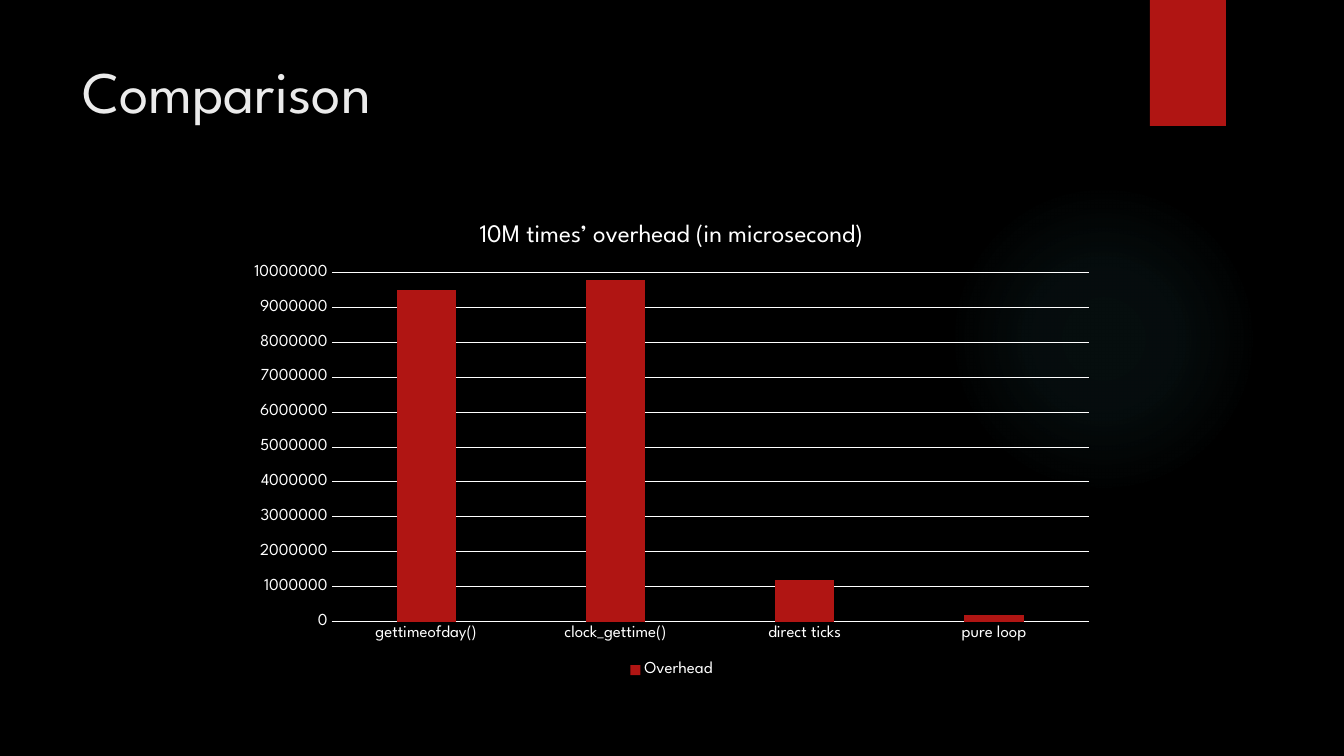
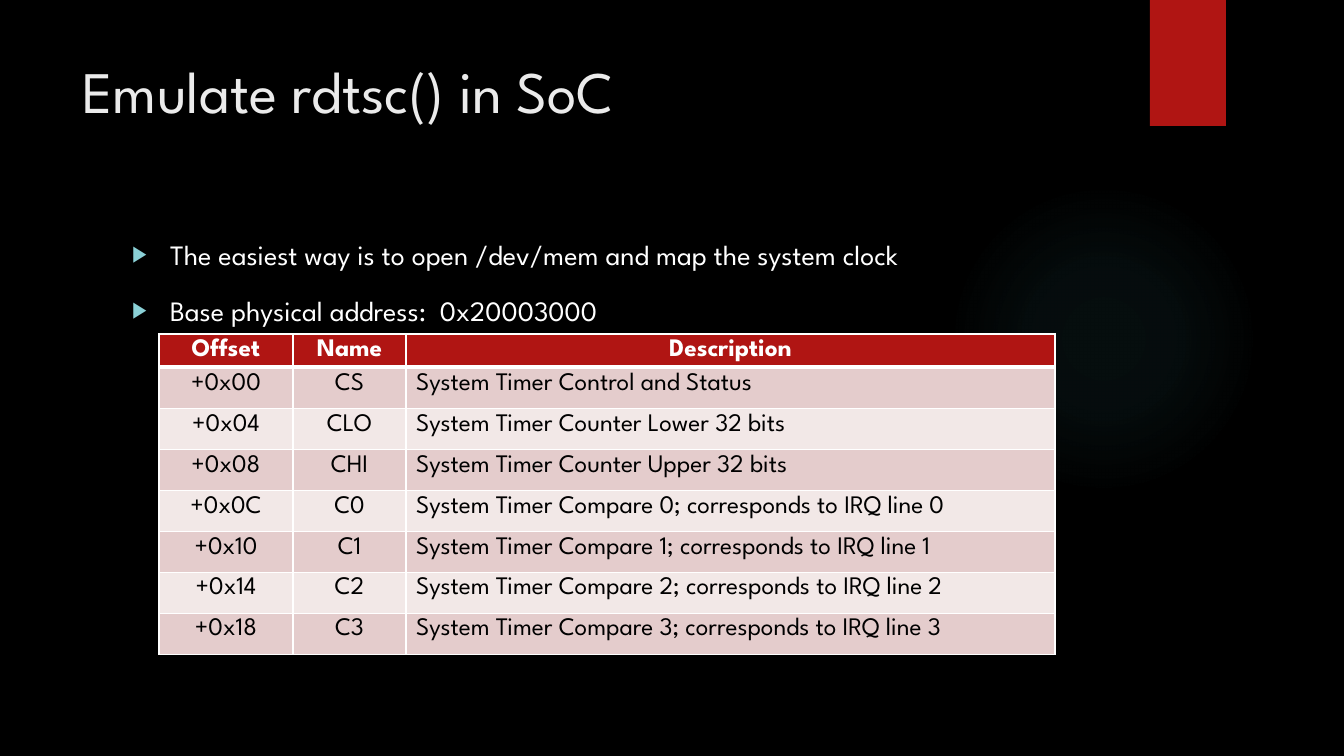
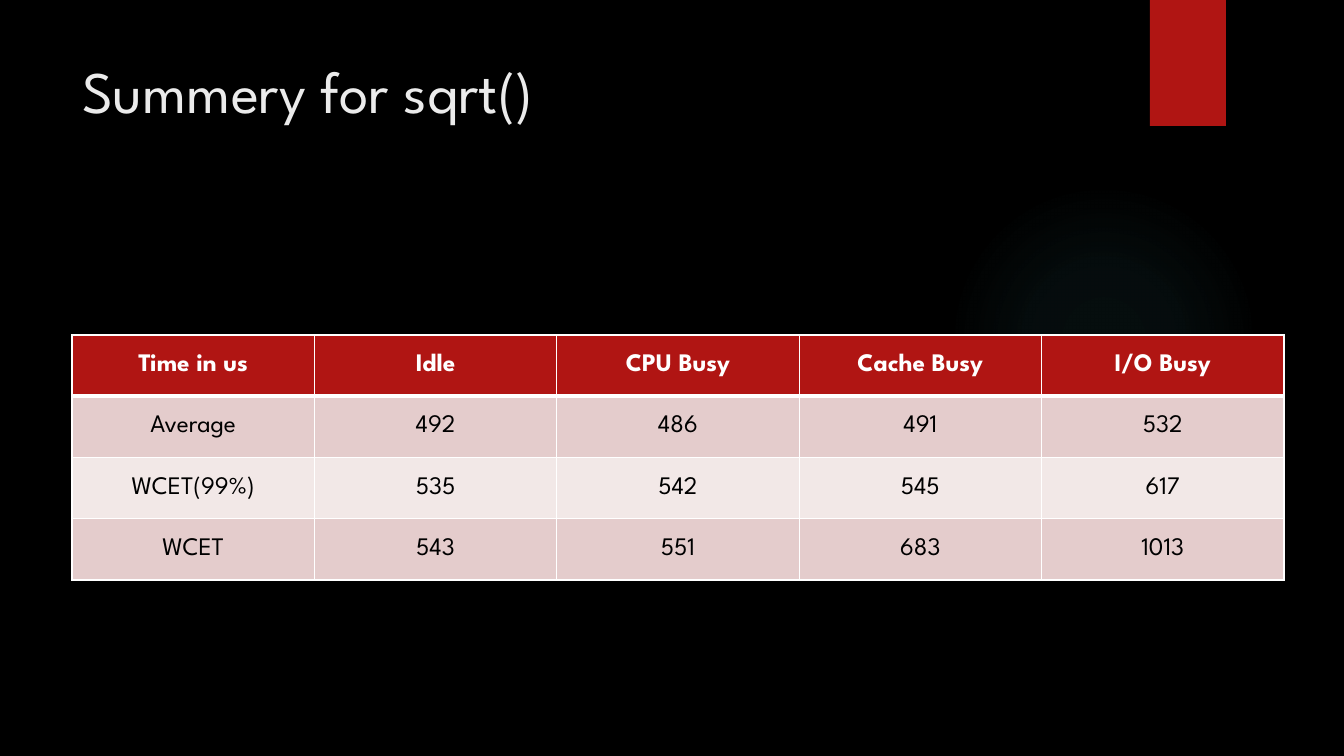
import pptx
import pptx.chart.data
import pptx.dml.color
import pptx.enum.chart
import pptx.enum.shapes
import pptx.enum.text
import pptx.oxml
import pptx.oxml.ns
import pptx.util
from lxml import etree

EMU_PER_PX = 914400 / 100.8
RED = pptx.dml.color.RGBColor(0xB0, 0x15, 0x13)
TEAL = pptx.dml.color.RGBColor(0x50, 0xB9, 0xC1)
BULLET_TEAL = pptx.dml.color.RGBColor(0x8A, 0xD0, 0xD6)
BLACK = pptx.dml.color.RGBColor(0, 0, 0)
WHITE = pptx.dml.color.RGBColor(255, 255, 255)
TITLE_WHITE = pptx.dml.color.RGBColor(0xEB, 0xEB, 0xEB)
ROW_PINKS = (pptx.dml.color.RGBColor(0xE4, 0xCC, 0xCC),
             pptx.dml.color.RGBColor(0xF2, 0xE8, 0xE7))
FONT = "League Spartan"
DRAWING_NS = pptx.oxml.ns.nsdecls("a")
CENTER = pptx.enum.text.PP_ALIGN.CENTER
LEFT = pptx.enum.text.PP_ALIGN.LEFT
TOP = pptx.enum.text.MSO_ANCHOR.TOP
MIDDLE = pptx.enum.text.MSO_ANCHOR.MIDDLE


def px(*lengths):
    return [pptx.util.Emu(round(length * EMU_PER_PX)) for length in lengths]


def add_grid(slide, rows, place, anchor, left_columns=()):
    """Add a table with a red header, pink rows and white rules."""
    table = slide.shapes.add_table(len(rows), len(rows[0]), *px(*place)).table
    for row_index, row in enumerate(rows):
        is_header = row_index == 0
        widths = {"L": 1, "R": 1, "T": 3 if row_index == 1 else 1,
                  "B": 3 if is_header else 1}
        for column_index, text in enumerate(row):
            cell = table.cell(row_index, column_index)
            cell.text = text
            cell.vertical_anchor = anchor
            properties = cell._tc.get_or_add_tcPr()
            for side, width in widths.items():
                properties.append(pptx.oxml.parse_xml(
                    f'<a:ln{side} {DRAWING_NS} w="{width * 12700}"><a:solidFill>'
                    f'<a:srgbClr val="{WHITE}"/></a:solidFill></a:ln{side}>'))
            cell.fill.solid()
            cell.fill.fore_color.rgb = RED if is_header else ROW_PINKS[(row_index - 1) % 2]
            para = cell.text_frame.paragraphs[0]
            para.alignment = LEFT if column_index in left_columns and not is_header else CENTER
            for name, value in {"name": FONT, "size": pptx.util.Pt(18), "bold": is_header}.items():
                setattr(para.font, name, value)
            para.font.color.rgb = WHITE if is_header else BLACK
    return table


deck = pptx.Presentation()
deck.slide_width, deck.slide_height = px(1344, 756)
master = deck.slide_master
master.background.fill.solid()
master.background.fill.fore_color.rgb = BLACK

# Slides and titles
titles = {"Comparison": 5, "Emulate rdtsc() in SoC": 1, "Summery for sqrt()": 5}
slides = []
for title_text, layout_index in titles.items():
    slide = deck.slides.add_slide(deck.slide_layouts[layout_index])
    slides.append(slide)
    title = slide.shapes.title
    title.left, title.top, title.width, title.height = px(72, 50, 1037, 154)
    frame = title.text_frame
    frame.text = title_text
    frame.vertical_anchor = TOP
    frame.auto_size = pptx.enum.text.MSO_AUTO_SIZE.NONE
    para = frame.paragraphs[0]
    para.alignment = LEFT
    para.font.name = FONT
    para.font.size = pptx.util.Pt(42)
    para.font.color.rgb = TITLE_WHITE
chart_slide, register_slide, summary_slide = slides

# Glow and red tab, placed on the master behind everything else
glow_stops = "".join(
    f'<a:gs pos="{position}000"><a:srgbClr val="{TEAL}"><a:alpha val="{alpha}000"/></a:srgbClr></a:gs>'
    for position, alpha in ((0, 7), (36, 6), (69, 0), (100, 0)))
glow_fill = (f'<a:gradFill {DRAWING_NS} rotWithShape="1"><a:gsLst>{glow_stops}</a:gsLst>'
             '<a:path path="circle"><a:fillToRect l="50000" t="50000" r="50000" b="50000"/>'
             '</a:path></a:gradFill>')
tab_shadow = (f'<a:effectLst {DRAWING_NS}><a:outerShdw blurRad="38100" dist="25400" dir="5400000">'
              f'<a:srgbClr val="{BLACK}"><a:alpha val="45000"/></a:srgbClr></a:outerShdw></a:effectLst>')
shapes = chart_slide.shapes
glow = shapes.add_shape(pptx.enum.shapes.MSO_SHAPE.OVAL, *px(949, 184, 310, 310))
tab = shapes.add_shape(pptx.enum.shapes.MSO_SHAPE.RECTANGLE, *px(1150, 0, 76, 126))
for index, shape in enumerate((glow, tab)):
    shape.shadow.inherit = False
    shape.fill.solid()
    shape.fill.fore_color.rgb = RED
    shape.line.fill.background()
    shape.element.nvSpPr.cNvPr.id = 20 + index
    master.element.cSld.spTree.insert(2 + index, shape.element)
for shape, tag, markup in ((glow, "a:solidFill", glow_fill), (tab, "a:effectLst", tab_shadow)):
    properties = shape.element.spPr
    properties.replace(properties.find(pptx.oxml.ns.qn(tag)), pptx.oxml.parse_xml(markup))

# Comparison chart
data = pptx.chart.data.CategoryChartData()
data.categories = ["gettimeofday()", "clock_gettime()", "direct ticks", "pure loop"]
data.add_series("Overhead", (9500000, 9800000, 1200000, 200000))
chart = chart_slide.shapes.add_chart(
    pptx.enum.chart.XL_CHART_TYPE.COLUMN_CLUSTERED, *px(237, 202, 869, 480), data).chart
chart.has_title = True
chart.chart_title.text_frame.text = "10M times’ overhead (in microsecond)"
chart.chart_title.include_in_layout = False
chart.has_legend = True
chart.legend.position = pptx.enum.chart.XL_LEGEND_POSITION.BOTTOM
chart.legend.include_in_layout = False
value_axis, category_axis = chart.value_axis, chart.category_axis
chart_fonts = ((chart.font, 10), (chart.chart_title.text_frame.paragraphs[0].font, 18),
               (chart.legend.font, 12), (value_axis.tick_labels.font, 12),
               (category_axis.tick_labels.font, 12))
for font, size in chart_fonts:
    for name, value in {"name": FONT, "size": pptx.util.Pt(size), "bold": False}.items():
        setattr(font, name, value)
    font.color.rgb = WHITE
for axis in (value_axis, category_axis):
    axis.major_tick_mark = axis.minor_tick_mark = pptx.enum.chart.XL_TICK_MARK.NONE
for name, value in {"minimum_scale": 0, "maximum_scale": 10000000, "major_unit": 1000000,
                    "has_major_gridlines": True}.items():
    setattr(value_axis, name, value)
value_axis.format.line.fill.background()
for line in (value_axis.major_gridlines.format.line, category_axis.format.line):
    line.color.rgb = WHITE
    line.width = pptx.util.Pt(0.75)
plot = chart.plots[0]
for name, value in {"gap_width": 219, "overlap": -27, "vary_by_categories": False}.items():
    setattr(plot, name, value)
bars = plot.series[0].format.fill
bars.solid()
bars.fore_color.rgb = RED

# Register list and table
body = register_slide.placeholders[1]
body.left, body.top, body.width, body.height = px(122, 227, 986, 463)
frame = body.text_frame
frame.auto_size = pptx.enum.text.MSO_AUTO_SIZE.NONE
frame.margin_top = px(10)[0]
frame.text = ("The easiest way is to open /dev/mem and map the system clock\n"
              "Base physical address:  0x20003000")
indent = px(38)[0]
for index, para in enumerate(frame.paragraphs):
    properties = para._p.get_or_add_pPr()
    properties.set("marL", str(indent))
    properties.set("indent", str(-indent))
    color = etree.SubElement(properties, pptx.oxml.ns.qn("a:buClr"))
    etree.SubElement(color, pptx.oxml.ns.qn("a:srgbClr"), val=str(BULLET_TEAL))
    etree.SubElement(properties, pptx.oxml.ns.qn("a:buSzPct"), val="80000")
    etree.SubElement(properties, pptx.oxml.ns.qn("a:buChar"), char="▶")
    para.space_before = pptx.util.Pt(16 if index else 0)
    para.font.name = FONT
    para.font.size = pptx.util.Pt(20)
    para.font.color.rgb = WHITE

registers = [
    ("Offset", "Name", "Description"),
    ("+0x00", "CS", "System Timer Control and Status"),
    ("+0x04", "CLO", "System Timer Counter Lower 32 bits"),
    ("+0x08", "CHI", "System Timer Counter Upper 32 bits"),
]
for line_number, offset in enumerate(("+0x0C", "+0x10", "+0x14", "+0x18")):
    registers.append((offset, f"C{line_number}",
                      f"System Timer Compare {line_number}; corresponds to IRQ line {line_number}"))
register_table = add_grid(register_slide, registers, (159, 334, 896, 320), TOP, left_columns=(2,))
for column, width in zip(register_table.columns, px(134, 113, 649)):
    column.width = width
for row, height in zip(register_table.rows, px(33, *[41] * 7)):
    row.height = height

# Summary table
timings = [
    ("Time in us", "Idle", "CPU Busy", "Cache Busy", "I/O Busy"),
    ("Average", "492", "486", "491", "532"),
    ("WCET(99%)", "535", "542", "545", "617"),
    ("WCET", "543", "551", "683", "1013"),
]
add_grid(summary_slide, timings, (72, 335, 1212, 245), MIDDLE)

deck.save("out.pptx")
